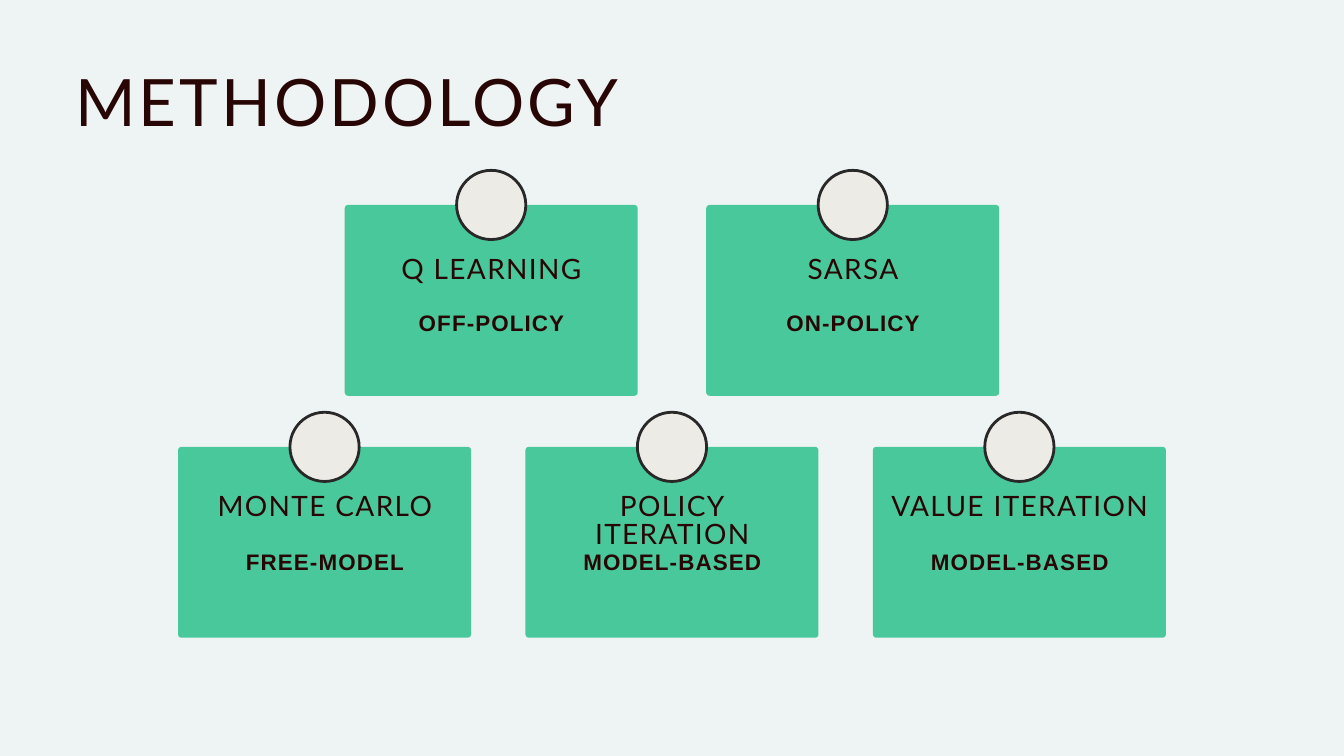
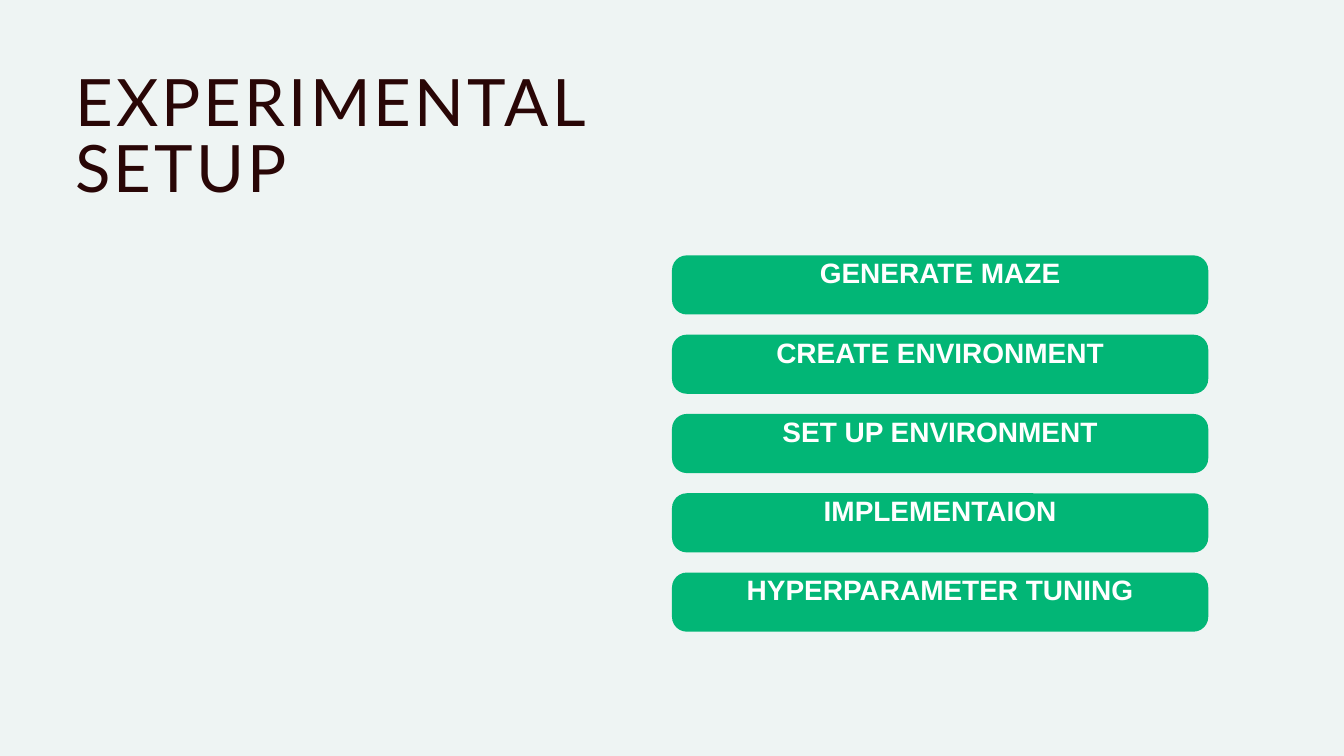
from dataclasses import dataclass

from lxml import etree
from pptx import Presentation
from pptx import util as u
from pptx.dml.color import RGBColor
from pptx.enum import shapes, text
from pptx.oxml import ns


@dataclass(frozen=True)
class Theme:
    background: str = "EEF4F3"
    green: str = "02B676"
    ink: str = "290606"
    white: str = "FFFFFF"
    pin: str = "EDEBE6"
    pin_edge: str = "292828"
    heading_font: str = "Lato"
    body_font: str = "Arial"
    title_size: int = 70
    heading_size: int = 30
    detail_size: int = 24


class Deck:
    """Builds slides that share one theme."""

    def __init__(self, theme):
        self.theme = theme
        self.presentation = Presentation()
        self.presentation.slide_width = u.Inches(20)
        self.presentation.slide_height = u.Inches(11.25)
        self.slide = None

    def add_slide(self, title, title_width):
        self.slide = self.presentation.slides.add_slide(self.presentation.slide_layouts[6])
        fill = self.slide.background.fill
        fill.solid()
        fill.fore_color.rgb = RGBColor.from_string(self.theme.background)
        self.label(title, (1.12, 1.11, title_width, 1.17), self.theme.title_size,
                   spacing=3.4, align=text.PP_ALIGN.LEFT)

    def shape(self, preset, box, color, corner=None, opacity=None, edge=None):
        figure = self.slide.shapes.add_shape(preset, *map(u.Inches, box))
        figure.shadow.inherit = False
        figure.fill.solid()
        figure.fill.fore_color.rgb = RGBColor.from_string(color)
        if corner:
            figure.adjustments[0] = corner / box[3]
        if opacity:
            tint = figure._element.spPr.find(".//" + ns.qn("a:srgbClr"))
            etree.SubElement(tint, ns.qn("a:alpha")).set("val", str(opacity * 1000))
        if edge:
            figure.line.color.rgb = RGBColor.from_string(edge)
            figure.line.width = u.Pt(3)
        else:
            figure.line.fill.background()

    def label(self, words, box, size, font=None, bold=False, color=None, spacing=0,
              leading=None, align=text.PP_ALIGN.CENTER, inset=0, middle=False):
        frame = self.slide.shapes.add_textbox(*map(u.Inches, box)).text_frame
        frame.word_wrap = True
        frame.margin_left = frame.margin_right = u.Inches(inset)
        frame.margin_top = frame.margin_bottom = u.Inches(inset)
        if middle:
            frame.vertical_anchor = text.MSO_ANCHOR.MIDDLE
        else:
            frame.auto_size = text.MSO_AUTO_SIZE.SHAPE_TO_FIT_TEXT
        paragraph = frame.paragraphs[0]
        paragraph.text = words
        paragraph.alignment = align
        paragraph.line_spacing = u.Pt(leading or size)
        paragraph.font.name = font or self.theme.heading_font
        paragraph.font.size = u.Pt(size)
        paragraph.font.bold = bold
        paragraph.font.color.rgb = RGBColor.from_string(color or self.theme.ink)
        if spacing:
            defaults = paragraph._p.pPr.find(ns.qn("a:defRPr"))
            defaults.set("spc", str(round(spacing * 100)))

    def card(self, center, top, heading, detail, heading_drop, detail_drop):
        theme, width, pin = self.theme, 4.36, 1.03
        self.shape(shapes.MSO_SHAPE.ROUNDED_RECTANGLE, (center - width / 2, top, width, 2.84),
                   theme.green, corner=0.05, opacity=70)
        self.shape(shapes.MSO_SHAPE.OVAL, (center - pin / 2, top - pin / 2, pin, pin),
                   theme.pin, edge=theme.pin_edge)
        left, text_width = center - 1.93, 3.87
        self.label(heading, (left, top + heading_drop, text_width, 0.52),
                   theme.heading_size, spacing=1.5)
        self.label(detail, (left, top + detail_drop, text_width, 0.39),
                   theme.detail_size, theme.body_font, bold=True, spacing=1.2)

    def card_row(self, top, pitch, cards, heading_drop, detail_drop):
        first = 10 - pitch * (len(cards) - 1) / 2
        for column, (heading, detail) in enumerate(cards):
            self.card(first + column * pitch, top, heading, detail, heading_drop, detail_drop)

    def step(self, top, words):
        theme, left, width = self.theme, 10, 7.98
        self.shape(shapes.MSO_SHAPE.ROUNDED_RECTANGLE, (left, top, width, 0.88),
                   theme.green, corner=0.22)
        self.label(words, (left, top - 0.44, width, 1.31), theme.heading_size,
                   theme.body_font, bold=True, color=theme.white, leading=42,
                   inset=0.06, middle=True)


def main():
    deck = Deck(Theme())

    deck.add_slide("METHODOLOGY", 9.89)
    deck.card_row(3.05, 5.38, [("Q LEARNING", "OFF-POLICY"), ("SARSA", "ON-POLICY")],
                  0.77, 1.62)
    deck.card_row(6.65, 5.17, [("MONTE CARLO", "FREE-MODEL"),
                               ("POLICY ITERATION", "MODEL-BASED"),
                               ("VALUE ITERATION", "MODEL-BASED")], 0.71, 1.57)

    deck.add_slide("EXPERIMENTAL SETUP", 8.88)
    steps = ["GENERATE MAZE", "CREATE ENVIRONMENT", "SET UP ENVIRONMENT",
             "IMPLEMENTAION", "HYPERPARAMETER TUNING"]
    for row, words in enumerate(steps):
        deck.step(3.8 + row * 1.18, words)

    deck.presentation.save("out.pptx")


if __name__ == "__main__":
    main()
